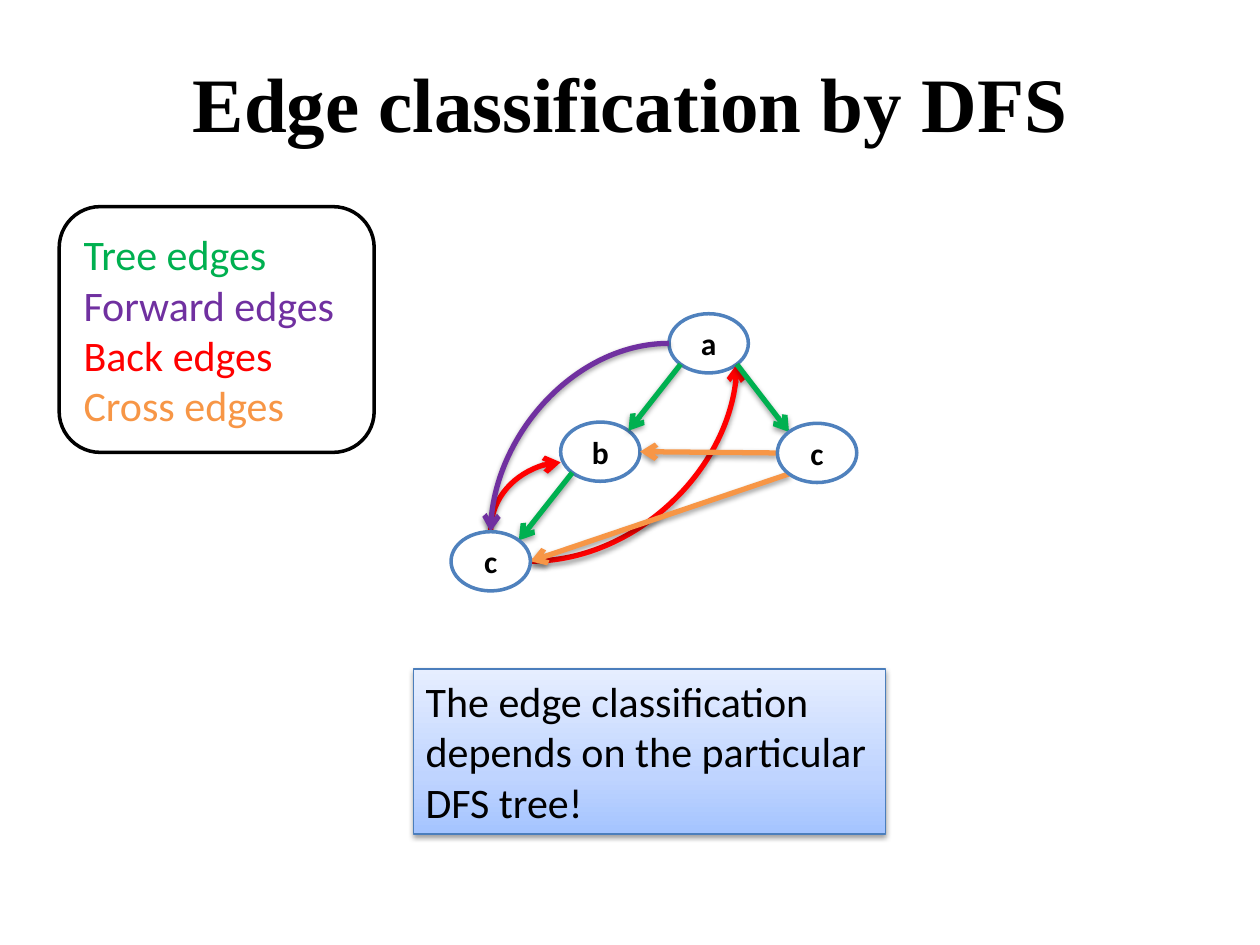
"""Build a slide on the classification of graph edges by depth-first search."""
from math import sqrt

from lxml import etree
from pptx import Presentation
from pptx.dml.color import RGBColor
from pptx.enum.shapes import MSO_CONNECTOR, MSO_SHAPE
from pptx.enum.text import MSO_ANCHOR, PP_ALIGN
from pptx.oxml.ns import qn
from pptx.util import Inches, Pt

STRAIGHT, CURVE = MSO_CONNECTOR.STRAIGHT, MSO_CONNECTOR.CURVE
OVAL, RECTANGLE, ROUNDED = MSO_SHAPE.OVAL, MSO_SHAPE.RECTANGLE, MSO_SHAPE.ROUNDED_RECTANGLE
MIDDLE, TOP = MSO_ANCHOR.MIDDLE, MSO_ANCHOR.TOP
LEFT, CENTER = PP_ALIGN.LEFT, PP_ALIGN.CENTER

COLORS = {
    "black": "000000", "white": "FFFFFF", "node": "4F81BD", "note": "4B7EBC",
    "tree": "00B050", "forward": "7030A0", "back": "FF0000", "cross": "F79646",
}
NOTE_STOPS = [(0, "A4C4FF"), (35, "BFD4FF"), (100, "E6EEFF")]

TITLE = "Edge classification by DFS"
NOTE = "The edge classification depends on the particular DFS tree!"
LEGEND = [("Tree edges", "tree"), ("Forward edges", "forward"),
          ("Back edges", "back"), ("Cross edges", "cross")]

NODE_WIDTH, NODE_HEIGHT = 0.63, 0.47
UPPER_NODES = {"b": ("b", 4.45, 3.35), "a": ("a", 5.31, 2.49)}
LOWER_NODES = {"right": ("c", 6.17, 3.36), "bottom": ("c", 3.58, 4.22)}
NODES = {**UPPER_NODES, **LOWER_NODES}

D = 1 / sqrt(2)
SITES = {
    "top": (0, -1), "left": (-1, 0), "right": (1, 0), "low left": (-1, 0.36),
    "top left": (-D, -D), "top right": (D, -D),
    "bottom left": (-D, D), "bottom right": (D, D),
}
EDGES = [
    ("tree", "a", "bottom left", "b", "top right", "straight"),
    ("tree", "b", "bottom left", "bottom", "top right", "straight"),
    ("back", "bottom", "right", "a", "bottom right", "sideways"),
    ("back", "bottom", "top", "b", "low left", "upward"),
    ("forward", "a", "left", "bottom", "top", "sideways"),
    ("tree", "a", "bottom right", "right", "top left", "straight"),
    ("cross", "right", "left", "b", "right", "straight"),
    ("cross", "right", "bottom left", "bottom", "right", "straight"),
]

NODE_FONT = {"name": "Calibri", "size": Pt(18), "bold": True}
BODY_FONT = {"name": "Calibri", "size": Pt(24), "bold": False}
TITLE_FONT = {"name": "Times New Roman", "size": Pt(44), "bold": True}


def color(name):
    return RGBColor.from_string(COLORS[name])


def add_color(parent, value):
    return etree.SubElement(parent, qn("a:srgbClr"), val=value)


def add_shadow(effects):
    shadow = etree.SubElement(effects, qn("a:outerShdw"), blurRad="40000", dist="20000",
                              dir="5400000", rotWithShape="0")
    etree.SubElement(add_color(shadow, COLORS["black"]), qn("a:alpha"), val="38000")


def write(shape, lines, font, alignment, anchor):
    frame = shape.text_frame
    frame.word_wrap = True
    frame.vertical_anchor = anchor
    for index, (text, color_name) in enumerate(lines):
        paragraph = frame.add_paragraph() if index else frame.paragraphs[0]
        paragraph.alignment = alignment
        run = paragraph.add_run()
        run.text = text
        for name, value in font.items():
            setattr(run.font, name, value)
        run.font.color.rgb = color(color_name)


def add_box(slide, kind, box, line, width):
    shape = slide.shapes.add_shape(kind, *map(Inches, box))
    shape.shadow.inherit = False
    shape.fill.solid()
    shape.fill.fore_color.rgb = color("white")
    shape.line.color.rgb = color(line)
    shape.line.width = Pt(width)
    return shape


def add_nodes(slide, nodes):
    for label, left, top in nodes.values():
        shape = add_box(slide, OVAL, (left, top, NODE_WIDTH, NODE_HEIGHT), "node", 2)
        write(shape, [(label, "black")], NODE_FONT, CENTER, MIDDLE)


def site_point(node, site):
    _, left, top = NODES[node]
    across, down = SITES[site]
    return left + NODE_WIDTH / 2 * (1 + across), top + NODE_HEIGHT / 2 * (1 + down)


def quarter_turn_back(point, center):
    x, y = point[0] - center[0], point[1] - center[1]
    return center[0] + y, center[1] - x


def add_edge(slide, kind, source, source_site, target, target_site, route):
    begin, end = site_point(source, source_site), site_point(target, target_site)
    if route == "upward":
        center = ((begin[0] + end[0]) / 2, (begin[1] + end[1]) / 2)
        begin, end = quarter_turn_back(begin, center), quarter_turn_back(end, center)
    connector = slide.shapes.add_connector(
        STRAIGHT if route == "straight" else CURVE, *map(Inches, begin + end))
    connector.line.color.rgb = color(kind)
    connector.line.width = Pt(3)
    properties = connector._element.spPr
    if route != "straight":
        properties.find(qn("a:prstGeom")).set("prst", "curvedConnector2")
    if route == "upward":
        properties.find(qn("a:xfrm")).set("rot", "5400000")
    etree.SubElement(properties.find(qn("a:ln")), qn("a:tailEnd"), type="arrow")
    add_shadow(etree.SubElement(properties, qn("a:effectLst")))


def add_note(slide):
    shape = add_box(slide, RECTANGLE, (3.28, 5.31, 3.75, 1.31), "note", 0.75)
    write(shape, [(NOTE, "black")], BODY_FONT, LEFT, TOP)
    shape.fill.gradient()
    shape.fill.gradient_angle = 90
    properties = shape._element.spPr
    stops = properties.find(qn("a:gradFill")).find(qn("a:gsLst"))
    for stop in list(stops):
        stops.remove(stop)
    for position, value in NOTE_STOPS:
        add_color(etree.SubElement(stops, qn("a:gs"), pos=str(position * 1000)), value)
    add_shadow(properties.find(qn("a:effectLst")))


def main():
    presentation = Presentation()
    presentation.slide_width, presentation.slide_height = Inches(10), Inches(7.5)
    slide = presentation.slides.add_slide(presentation.slide_layouts[6])

    title = slide.shapes.add_textbox(*map(Inches, (0.17, 0.18, 9.67, 1.25)))
    write(title, [(TITLE, "black")], TITLE_FONT, CENTER, MIDDLE)
    add_nodes(slide, UPPER_NODES)
    legend = add_box(slide, ROUNDED, (0.47, 1.64, 2.5, 1.95), "black", 2)
    write(legend, LEGEND, BODY_FONT, LEFT, MIDDLE)
    for edge in EDGES:
        add_edge(slide, *edge)
    add_nodes(slide, LOWER_NODES)
    add_note(slide)
    presentation.save("out.pptx")


if __name__ == "__main__":
    main()
